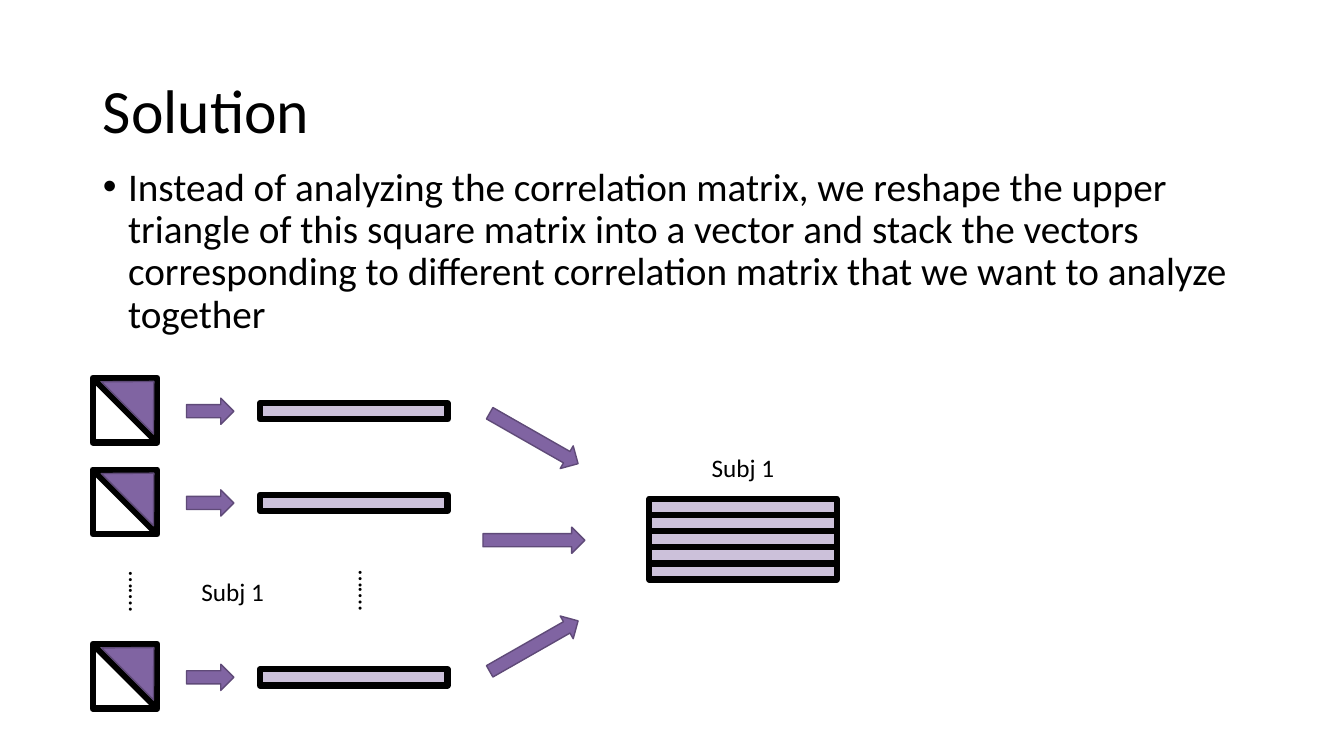
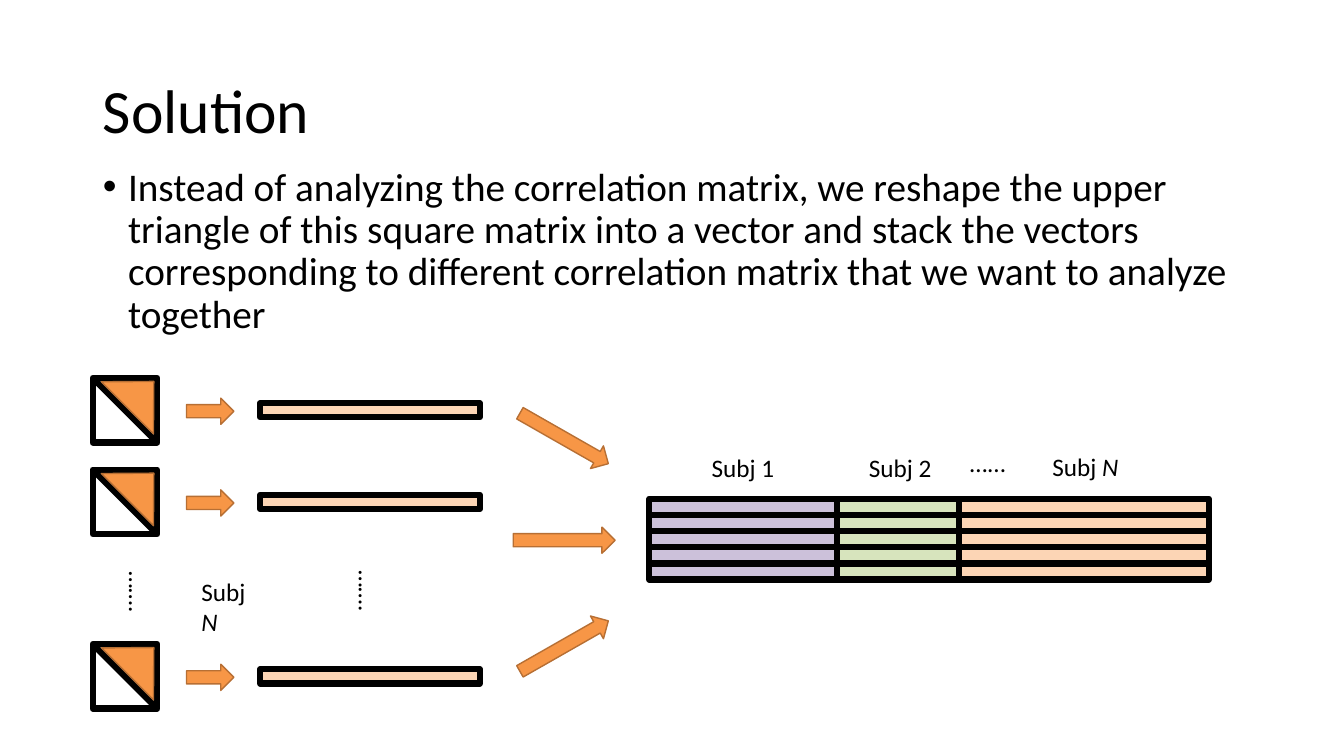
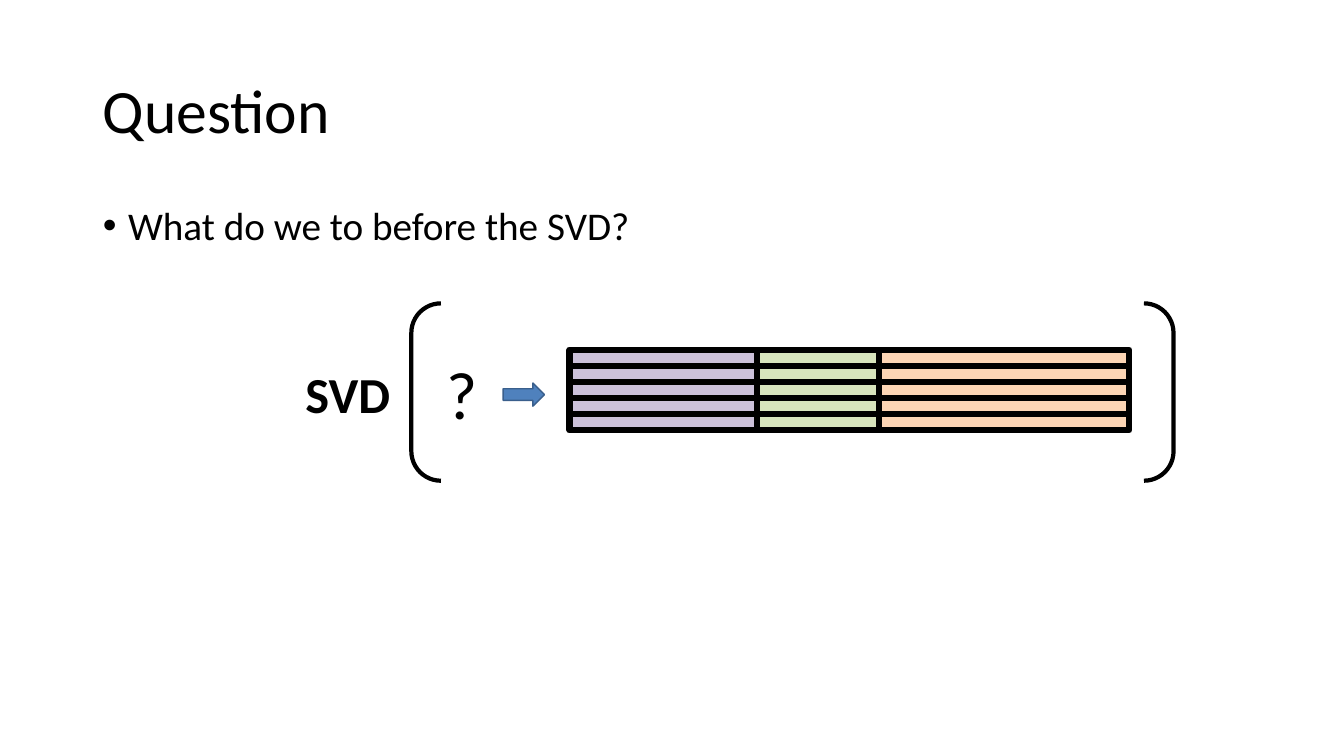
from dataclasses import dataclass
from lxml import etree
from pptx import Presentation
from pptx import util as u
from pptx.dml.color import RGBColor
from pptx.enum import shapes, text as t


@dataclass(frozen=True)
class Theme:
    font: str = "Calibri"
    ink: str = "000000"
    # Pairs of fill and outline for arrows and triangles
    purple: tuple = ("8064A2", "5F4A78")
    orange: tuple = ("F79646", "B76F34")
    blue: tuple = ("4F81BD", "3A5F8C")
    # Pale fills for vectors
    lilac: str = "CCC1DA"
    green: str = "D7E4BD"
    peach: str = "FCD5B5"
    # Type sizes
    title: int = 44
    body: int = 28
    label: int = 18
    # Line widths
    thin: float = 1
    mid: float = 3
    thick: float = 4.5


look = Theme()
kind = shapes.MSO_SHAPE
inch = u.Inches


def write(words, slide=None, at=None, hold=None, size=look.label, bold=False,
          tail="", wrap=False, vert=None, lead=None, gap=None, dent=None,
          fit=t.MSO_AUTO_SIZE.SHAPE_TO_FIT_TEXT):
    """Put text in a placeholder, or in a new text box; tail is italic."""
    spot = [inch(v) for v in at]
    if hold is None:
        hold = slide.shapes.add_textbox(*spot)
    else:
        hold.left, hold.top, hold.width, hold.height = spot
    frame = hold.text_frame
    frame.word_wrap = wrap
    frame.auto_size = fit
    if vert:
        frame._txBody.bodyPr.set("vert", vert)
    para = frame.paragraphs[0]
    para.alignment = t.PP_ALIGN.LEFT
    if lead:
        para.line_spacing = lead
    if gap:
        para.space_before = u.Pt(gap)
    if dent:
        props = para._p.get_or_add_pPr()
        props.set("marL", str(inch(dent)))
        props.set("indent", str(-inch(dent)))
    for part, slant in ((words, False), (tail, True)):
        if part:
            run = para.add_run()
            run.text = part
            run.font.name = look.font
            run.font.size = u.Pt(size)
            run.font.bold = bold
            run.font.italic = slant
            run.font.color.rgb = RGBColor.from_string(look.ink)


def draw(slide, form, at, fill=None, line=look.ink, width=look.thick, turn=0):
    """Add a preset shape with a plain fill and outline."""
    item = slide.shapes.add_shape(form, *[inch(v) for v in at])
    item.shadow.inherit = False
    item.rotation = turn
    if fill:
        item.fill.solid()
        item.fill.fore_color.rgb = RGBColor.from_string(fill)
    else:
        item.fill.background()
    item.line.color.rgb = RGBColor.from_string(line)
    item.line.width = u.Pt(width)


deck = Presentation()
deck.slide_width, deck.slide_height = inch(13.33), inch(7.5)

# Titles and lists
reshape = ("Instead of analyzing the correlation matrix, we reshape the upper "
           "triangle of this square matrix into a vector and stack the vectors "
           "corresponding to different correlation matrix that we want to "
           "analyze together")
pages = []
for head, point, top in (("Solution", reshape, 1.61),
                         ("Solution", reshape, 1.61),
                         ("Question", "What do we to before the SVD?", 2)):
    page = deck.slides.add_slide(deck.slide_layouts[1])
    write(head, hold=page.shapes.title, at=(0.92, 0.4, 11.5, 1.45),
          size=look.title, wrap=True, lead=0.9, fit=t.MSO_AUTO_SIZE.NONE)
    write(point, hold=page.placeholders[1], at=(0.92, top, 11.5, 4.76),
          size=look.body, wrap=True, lead=0.9, gap=10, dent=0.25,
          fit=t.MSO_AUTO_SIZE.NONE)
    pages.append(page)
first, last, ask = pages

# Matrices reshaped into vectors, for one subject a slide
for page, tone, pale, long, high, right, name, tail in (
        (first, look.purple, look.lilac, 1.86, 0.16, 4.79, "Subj 1", ""),
        (last, look.orange, look.peach, 2.18, 0.14, 5.09, "Subj ", "N")):
    fill, edge = tone
    for y in (3.75, 4.66, 6.39):
        draw(page, kind.RECTANGLE, (0.92, y, 0.64, 0.64))
        slash = page.shapes.add_connector(
            shapes.MSO_CONNECTOR.STRAIGHT,
            inch(0.92), inch(y), inch(1.56), inch(y + 0.64))
        slash.line.color.rgb = RGBColor.from_string(look.ink)
        slash.line.width = u.Pt(look.thick)
        props = slash._element.spPr
        etree.SubElement(props, props.tag.split("}")[0].replace(
            "presentationml", "drawingml") + "}effectLst")
        # The namespace of drawing parts differs only in its family name
        draw(page, kind.RIGHT_ARROW, (1.85, y + 0.2, 0.47, 0.26),
             fill, edge, look.thin)
        draw(page, kind.ISOSCELES_TRIANGLE, (1.03, y - 0.02, 0.73, 0.37),
             fill, edge, look.thin, 45)
        draw(page, kind.RECTANGLE, (2.58, y + 0.25, long, high), pale)
    for y, turn in ((4.22, 29.7), (5.23, 0), (6.28, 330.3)):
        draw(page, kind.RIGHT_ARROW, (right, y, 1.01, 0.26),
             fill, edge, look.thin, turn)
    for x, y in ((3.36, 5.56), (1.08, 5.57)):
        write("\u2026\u2026.", page, (x, y, 0.5, 0.51), vert="eaVert")
    write(name, page, (1.9, 5.67, 0.83, 0.4), tail=tail)
    write("Subj 1", page, (6.96, 4.44, 0.83, 0.4))

# Stacked vectors: offset, width and fill of each subject's block
blocks = ((0, 1.86, look.lilac), (3.07, 2.48, look.peach),
          (1.86, 1.21, look.green))
for page, x, y, count in ((first, 6.44, 4.95, 1), (last, 6.44, 4.95, 3),
                          (ask, 5.65, 3.47, 3)):
    for shift, wide, pale in blocks[:count]:
        for row in range(5):
            draw(page, kind.RECTANGLE,
                 (x + shift, y + 0.16 * row, wide, 0.16), pale)

# Labels over the full stack
write("Subj 2", last, (8.52, 4.44, 0.83, 0.4))
write("Subj ", last, (10.34, 4.43, 0.86, 0.4), tail="N")
write("\u2026...", last, (9.52, 4.39, 0.57, 0.4), wrap=True)

# Open step before the SVD
write("SVD", ask, (2.93, 3.55, 1.05, 0.71), size=36, bold=True)
draw(ask, kind.DOUBLE_BRACKET, (4.08, 3.01, 7.56, 1.76), width=look.mid)
write("?", ask, (4.33, 3.45, 0.51, 0.91), size=48)
draw(ask, kind.RIGHT_ARROW, (4.99, 3.8, 0.41, 0.23), *look.blue, look.thin)

deck.save("out.pptx")
